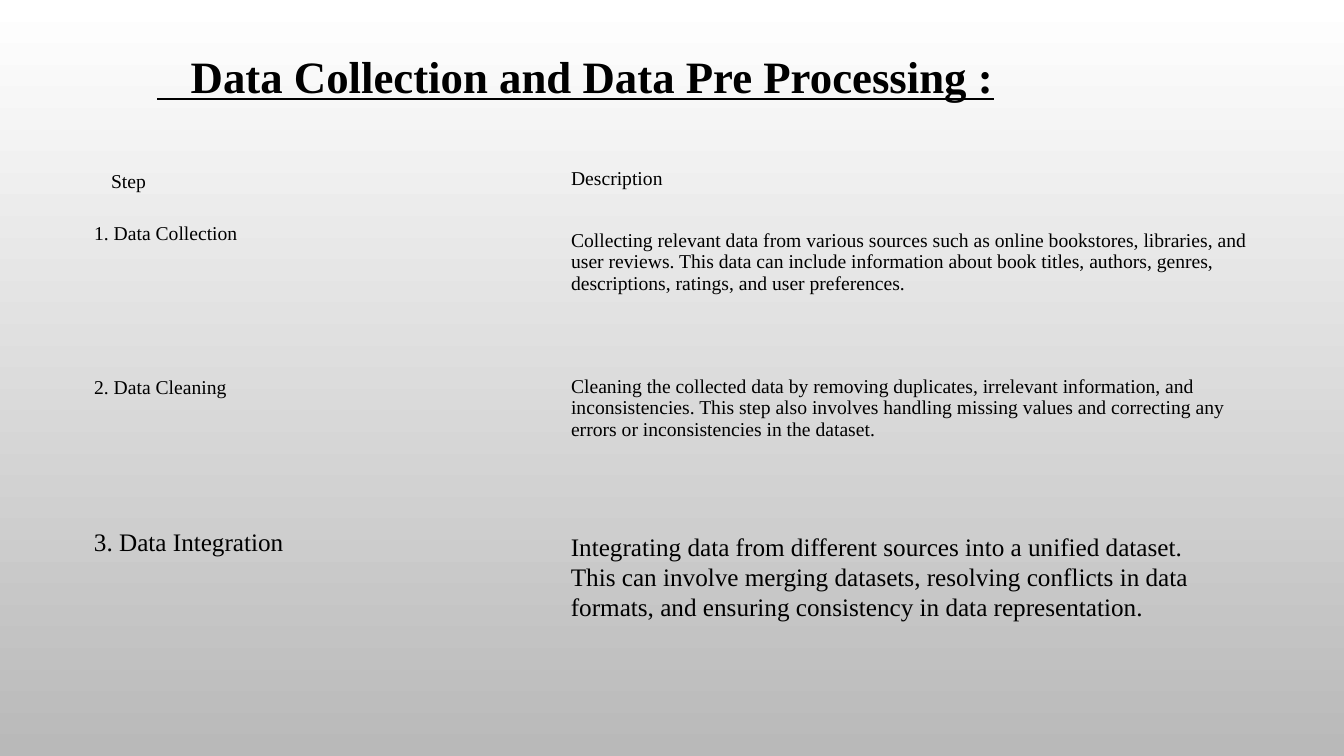
from pptx import Presentation
from pptx import util as u
from pptx.dml.color import RGBColor
from pptx.enum import text

BLACK = RGBColor(0, 0, 0)
WHITE = RGBColor(255, 255, 255)
GREY = RGBColor(0xB9, 0xB9, 0xB9)
PLAIN = "{2D5ABB26-0587-4C30-8999-92F81FD0307C}"


def px(*sizes):
    return [u.Emu(round(n * 12192000 / 1344)) for n in sizes]


def style(para, size):
    para.font.name = "Times New Roman"
    para.font.size = u.Pt(size)
    para.font.color.rgb = BLACK


deck = Presentation()
deck.slide_width, deck.slide_height = px(1344, 756)
slide = deck.slides.add_slide(deck.slide_layouts[5])

back = slide.background.fill
back.gradient()
back.gradient_angle = 270
for stop, place, color in zip(back.gradient_stops, (0, 1), (WHITE, GREY)):
    stop.position = place
    stop.color.rgb = color

title = slide.shapes.title
title.left, title.top, title.width, title.height = px(147, 44, 894, 65)
frame = title.text_frame
frame.text = "   Data Collection and Data Pre Processing :"
frame.vertical_anchor = text.MSO_ANCHOR.TOP
frame.auto_size = text.MSO_AUTO_SIZE.SHAPE_TO_FIT_TEXT
head = frame.paragraphs[0]
head.alignment = text.PP_ALIGN.JUSTIFY
style(head, 32)
head.font.bold = True
head.font.underline = True

cells = [
    (101, 165, 1142, 40, "Step"),
    (561, 162, 1142, 40, "Description"),
    (84, 217, 1142, 40, "1. Data Collection"),
    (561, 222, 700, 131,
     "Collecting relevant data from various sources such as online "
     "bookstores, libraries, and user reviews. This data can include "
     "information about book titles, authors, genres, descriptions, "
     "ratings, and user preferences."),
    (84, 371, 1142, 40, "2. Data Cleaning"),
    (561, 368, 682, 131,
     "Cleaning the collected data by removing duplicates, irrelevant "
     "information, and inconsistencies. This step also involves handling "
     "missing values and correcting any errors or inconsistencies in the "
     "dataset."),
]
for left, top, width, height, words in cells:
    box = slide.shapes.add_table(1, 1, *px(left, top, width, height))
    box.element.xpath(".//a:tableStyleId")[0].text = PLAIN
    table = box.table
    table.first_row = False
    table.horz_banding = False
    table.rows[0].height = 0
    box.height = px(height)[0]
    cell = table.cell(0, 0)
    cell.fill.background()
    cell.vertical_anchor = text.MSO_ANCHOR.MIDDLE
    cell.text = words
    style(cell.text_frame.paragraphs[0], 14)

notes = [
    (84, 521, 852, 40, "3. Data Integration"),
    (561, 526, 664, 102,
     "Integrating data from different sources into a unified dataset. "
     "This can involve merging datasets, resolving conflicts in data "
     "formats, and ensuring consistency in data representation."),
]
for left, top, width, height, words in notes:
    box = slide.shapes.add_textbox(*px(left, top, width, height))
    frame = box.text_frame
    frame.word_wrap = True
    frame.auto_size = text.MSO_AUTO_SIZE.SHAPE_TO_FIT_TEXT
    frame.text = words
    style(frame.paragraphs[0], 18)

deck.save("out.pptx")
